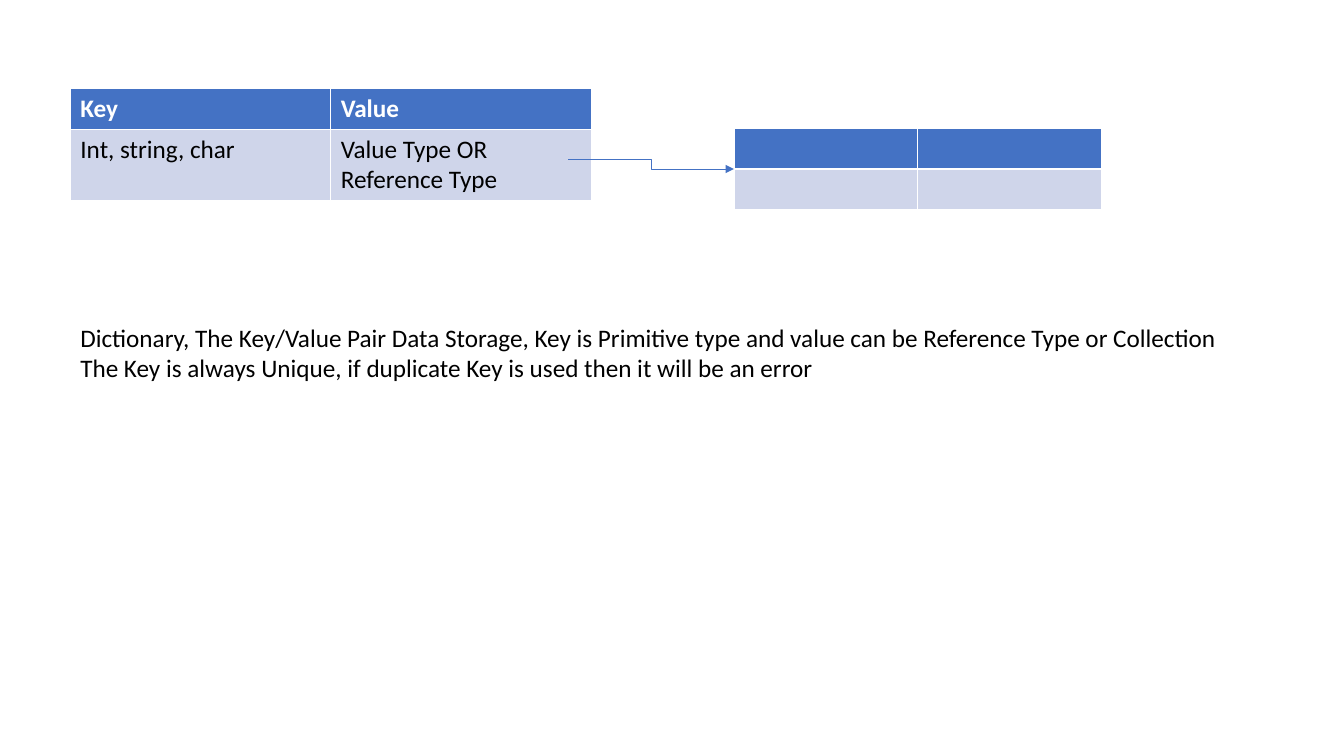
import pptx
import pptx.dml.color
import pptx.enum.dml
import pptx.enum.shapes
import pptx.enum.text
import pptx.oxml
import pptx.oxml.ns
import pptx.util

PX = 9525  # EMU in one px, at 96 px to the inch
COLORS = {
    "accent": "4472C4",
    "band": "CFD5EA",
    "header_text": "FFFFFF",
    "text": "000000",
}
FONT = "Calibri"
FONT_SIZE = 18


def px(*lengths):
    return [length * PX for length in lengths]


def color(name):
    return pptx.dml.color.RGBColor.from_string(COLORS[name])


def format_text(text_frame, color_name, bold=False):
    for paragraph in text_frame.paragraphs:
        for run in paragraph.runs:
            run.font.name = FONT
            run.font.size = pptx.util.Pt(FONT_SIZE)
            run.font.bold = bold
            run.font.color.rgb = color(color_name)


def add_pair_table(slide, left, top, width, row_heights, rows):
    """Add a table with a header row; borders come from the default table style."""
    frame = slide.shapes.add_table(
        len(rows), len(rows[0]), *px(left, top, width, sum(row_heights)))
    table = frame.table
    for row_index, texts in enumerate(rows):
        is_header = row_index == 0
        table.rows[row_index].height = row_heights[row_index] * PX
        for column_index, text in enumerate(texts):
            cell = table.cell(row_index, column_index)
            cell.fill.solid()
            cell.fill.fore_color.rgb = color("accent" if is_header else "band")
            if text:
                cell.text_frame.text = text
                format_text(cell.text_frame,
                            "header_text" if is_header else "text", is_header)


def add_reference_arrow(slide, start_x, start_y, end_x, end_y):
    connector = slide.shapes.add_connector(
        pptx.enum.shapes.MSO_CONNECTOR.ELBOW, *px(start_x, start_y, end_x, end_y))
    connector.line.color.rgb = color("accent")
    connector.line.width = pptx.util.Pt(0.5)
    line = connector.line._get_or_add_ln()
    line.append(pptx.oxml.parse_xml(
        f'<a:tailEnd {pptx.oxml.ns.nsdecls("a")} type="triangle"/>'))
    connector._element.spPr.append(pptx.oxml.parse_xml(
        f'<a:effectLst {pptx.oxml.ns.nsdecls("a")}/>'))


def add_description(slide, left, top, width, height, lines):
    text_frame = slide.shapes.add_textbox(*px(left, top, width, height)).text_frame
    text_frame.word_wrap = True
    text_frame.auto_size = pptx.enum.text.MSO_AUTO_SIZE.SHAPE_TO_FIT_TEXT
    text_frame.text = "\n".join(lines)
    format_text(text_frame, "text")


def build_dictionary_slide(presentation):
    slide = presentation.slides.add_slide(presentation.slide_layouts[6])
    left = 67
    reference_left, reference_top, reference_row = 699, 122, 39
    add_pair_table(slide, left, 84, 496, [38, 67], [
        ["Key", "Value"],
        ["Int, string, char", "Value Type OR Reference Type"],
    ])
    add_pair_table(slide, reference_left, reference_top, 350,
                   [reference_row] * 2, [["", ""]] * 2)
    add_reference_arrow(slide, 541, 152,
                        reference_left, reference_top + reference_row)
    add_description(slide, left, 302, 1136, 68, [
        "Dictionary, The Key/Value Pair Data Storage, Key is Primitive type "
        "and value can be Reference Type or Collection",
        "The Key is always Unique, if duplicate Key is used then it will be an error",
    ])


def main():
    presentation = pptx.Presentation()
    presentation.slide_width, presentation.slide_height = px(1280, 720)
    build_dictionary_slide(presentation)
    presentation.save("out.pptx")


if __name__ == "__main__":
    main()
